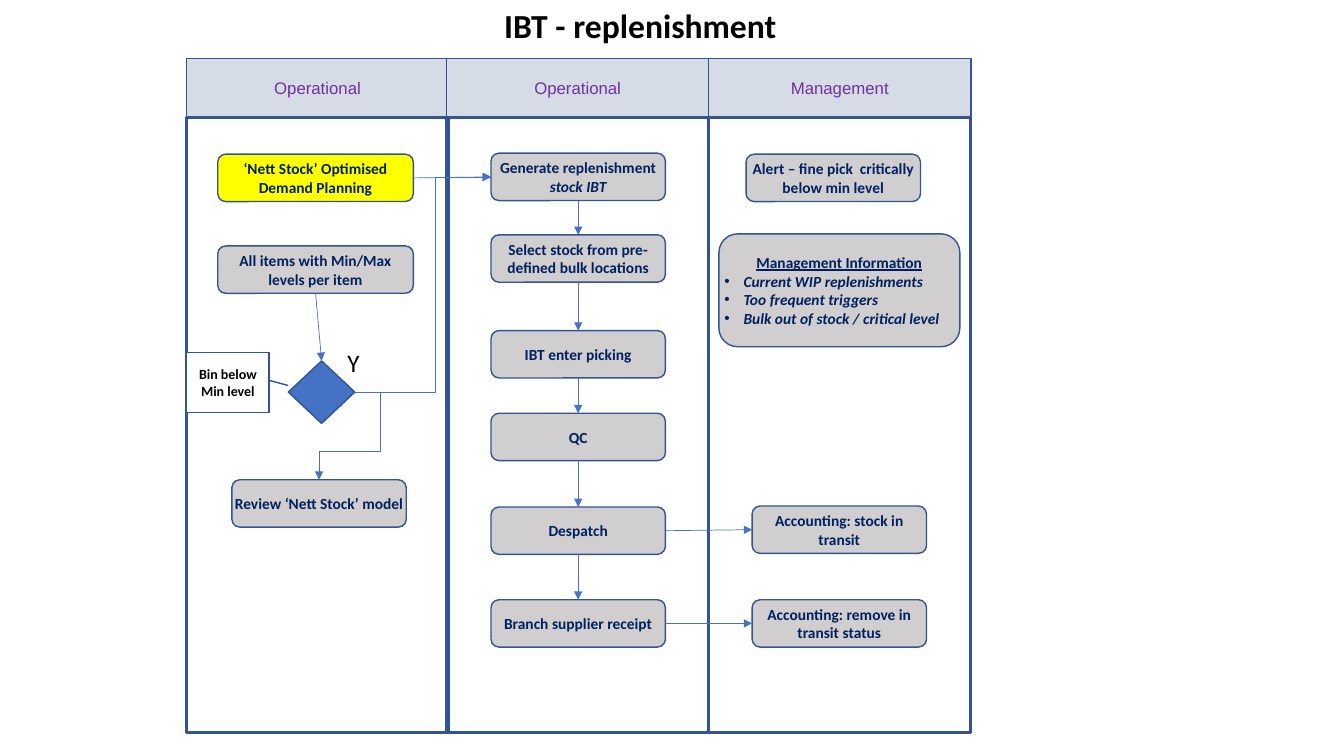
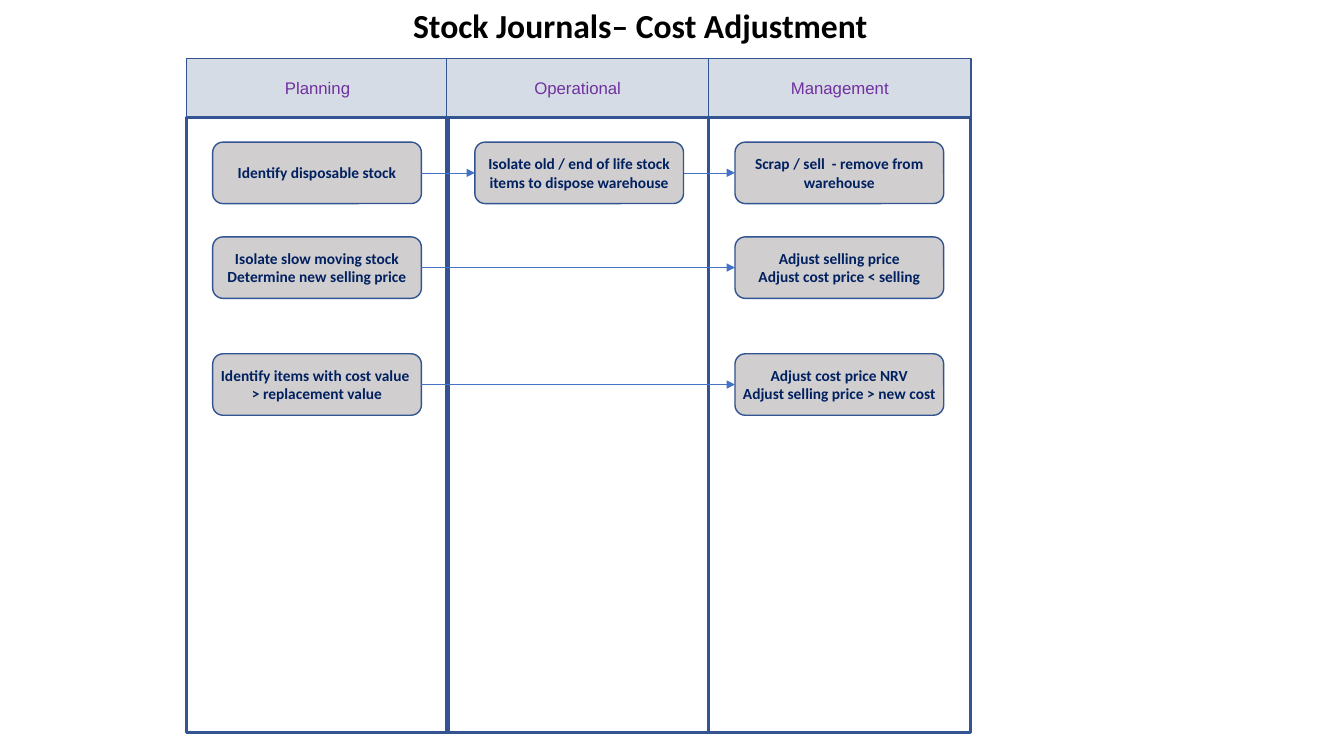
from lxml import etree
from pptx import Presentation
from pptx.dml.color import RGBColor
from pptx.enum.shapes import MSO_CONNECTOR as Connector, MSO_SHAPE as Shape
from pptx.enum.text import MSO_ANCHOR as Anchor, MSO_AUTO_SIZE as AutoSize, PP_ALIGN as Align
from pptx.oxml.ns import qn
from pptx.util import Inches, Pt

COLOURS = {
    "outline": "325491", "arrow": "4472C4", "header": "D6DCE5", "header text": "7030A0",
    "step": "D0CECE", "step text": "002060", "highlight": "FFFF00",
    "white": "FFFFFF", "black": "000000",
}

# Text styles: font attributes and a colour name
TITLE = ({"name": "Calibri", "size": Pt(24), "bold": True}, "black")
HEADER = ({"name": "Arial", "size": Pt(12), "bold": False}, "header text")
STEP = ({"name": "Calibri", "size": Pt(11), "bold": True}, "step text")
CALLOUT = ({"name": "Calibri", "size": Pt(10), "bold": True}, "black")
BRANCH = ({"name": "Calibri", "size": Pt(18), "bold": False}, "black")

STEP_INSETS = {"margin_left": 0, "margin_right": 0,
               "margin_top": Inches(0.05), "margin_bottom": Inches(0.05)}

# Swimlanes
LANE_LEFTS = (1.85, 4.43, 7.03)
LANE_WIDTH, LANE_HEIGHT = 2.6, 6.1
HEADER_TOP, HEADER_HEIGHT = 0.58, 0.59

TOP, LEFT, BOTTOM, RIGHT = range(4)


def colour(name):
    return RGBColor.from_string(COLOURS[name])


def set_values(target, values):
    for name, value in values.items():
        setattr(target, name, value)


def write(frame, paragraphs, style, anchor=Anchor.MIDDLE):
    """Each paragraph is a string or a list of (text, extra font values)."""
    values, colour_name = style
    set_values(frame, {"word_wrap": True, "vertical_anchor": anchor})
    for index, content in enumerate(paragraphs):
        paragraph = frame.add_paragraph() if index else frame.paragraphs[0]
        paragraph.alignment = Align.CENTER
        runs = [(content, {})] if isinstance(content, str) else content
        for text, extra in runs:
            run = paragraph.add_run()
            run.text = text
            set_values(run.font, values | extra)
            run.font.color.rgb = colour(colour_name)


def add_bullet(paragraph, indent=0.19):
    paragraph.alignment = Align.LEFT
    properties = paragraph._p.get_or_add_pPr()
    properties.set("marL", str(Inches(indent)))
    properties.set("indent", str(-Inches(indent)))
    font = etree.SubElement(properties, qn("a:buFont"))
    font.set("typeface", "Arial")
    etree.SubElement(properties, qn("a:buChar")).set("char", "•")


def add_box(slide, kind, at, fill=None, line_width=1):
    shape = slide.shapes.add_shape(kind, *map(Inches, at))
    shape.shadow.inherit = False
    if fill:
        shape.fill.solid()
        shape.fill.fore_color.rgb = colour(fill)
    else:
        shape.fill.background()
    shape.line.color.rgb = colour("outline")
    shape.line.width = Pt(line_width)
    return shape


def add_step(slide, at, *paragraphs, fill="step"):
    shape = add_box(slide, Shape.ROUNDED_RECTANGLE, at, fill)
    set_values(shape.text_frame, STEP_INSETS)
    write(shape.text_frame, paragraphs, STEP)
    return shape


def add_arrow(slide, start, start_side, end, end_side, preset=None, bends=()):
    """Join two shapes; a preset and its bend positions make an elbow arrow."""
    kind = Connector.ELBOW if preset else Connector.STRAIGHT
    connector = slide.shapes.add_connector(kind, 0, 0, 0, 0)
    connector.begin_connect(start, start_side)
    connector.end_connect(end, end_side)
    connector.line.color.rgb = colour("arrow")
    connector.line.width = Pt(0.5)
    properties = connector._element.spPr
    etree.SubElement(connector.line._get_or_add_ln(), qn("a:tailEnd")).set("type", "triangle")
    etree.SubElement(properties, qn("a:effectLst"))
    if preset:
        geometry = properties.find(qn("a:prstGeom"))
        geometry.set("prst", preset)
        guides = geometry.find(qn("a:avLst"))
        if guides is None:
            guides = etree.SubElement(geometry, qn("a:avLst"))
        for number, bend in enumerate(bends, 1):
            guide = etree.SubElement(guides, qn("a:gd"))
            guide.set("name", f"adj{number}")
            guide.set("fmla", f"val {round(bend * 100000)}")


def add_lane_slide(presentation, title, headers):
    slide = presentation.slides.add_slide(presentation.slide_layouts[5])
    # Title
    placeholder = slide.shapes.title
    set_values(placeholder, {"left": Inches(0.08), "top": 0,
                             "width": Inches(12.54), "height": Inches(0.5)})
    write(placeholder.text_frame, [title], TITLE, Anchor.TOP)
    placeholder.text_frame.auto_size = AutoSize.SHAPE_TO_FIT_TEXT
    # Lanes
    for left, header in zip(LANE_LEFTS, headers):
        head = add_box(slide, Shape.FLOWCHART_PROCESS,
                       (left, HEADER_TOP, LANE_WIDTH, HEADER_HEIGHT), "header")
        write(head.text_frame, [header], HEADER)
        add_box(slide, Shape.RECTANGLE,
                (left, HEADER_TOP + HEADER_HEIGHT, LANE_WIDTH, LANE_HEIGHT), line_width=2)
    return slide


def build_replenishment(presentation):
    slide = add_lane_slide(presentation, "IBT - replenishment",
                           ("Operational", "Operational", "Management"))
    width, wide, height = 1.73, 1.94, 0.47

    # Stock planning
    planning = add_step(slide, (2.16, 1.53, wide, height),
                        "‘Nett Stock’ Optimised Demand Planning", fill="highlight")
    items = add_step(slide, (2.16, 2.44, wide, height), "All items with Min/Max levels per item")
    review = add_step(slide, (2.3, 4.76, width, height), "Review ‘Nett Stock’ model")

    # Picking flow
    flow_texts = (
        (1.52, [("Generate replenishment ", {}), ("stock IBT", {"italic": True})]),
        (2.33, "Select stock from pre-defined bulk locations"),
        (3.28, "IBT enter picking"),
        (4.1, "QC"),
        (5.03, "Despatch"),
        (5.95, "Branch supplier receipt"),
    )
    flow = [add_step(slide, (4.87, top, width, height), text) for top, text in flow_texts]
    for upper, lower in zip(flow, flow[1:]):
        add_arrow(slide, upper, BOTTOM, lower, TOP)

    # Management
    add_step(slide, (7.4, 1.53, width, height), "Alert – fine pick  critically below min level")
    topics = ("Current WIP replenishments", "Too frequent triggers",
              "Bulk out of stock / critical level")
    information = add_step(slide, (7.13, 2.32, 2.39, 1.12),
                           [("Management Information", {"underline": True})],
                           *([(topic, {"italic": True})] for topic in topics))
    for paragraph in information.text_frame.paragraphs[1:]:
        add_bullet(paragraph)
    transit = add_step(slide, (7.46, 5.02, width, height), "Accounting: stock in transit")
    removal = add_step(slide, (7.46, 5.95, width, height), "Accounting: remove in transit status")

    # Minimum level decision
    decision = add_box(slide, Shape.FLOWCHART_DECISION, (2.86, 3.58, 0.66, 0.62), "arrow")
    callout = add_box(slide, Shape.LINE_CALLOUT_1_BORDER_AND_ACCENT_BAR,
                      (1.85, 3.5, 0.82, 0.59), "white")
    for index, value in enumerate((0.46, 0.99, 0.55, 1.23)):
        callout.adjustments[index] = value
    write(callout.text_frame, ["Bin below Min level"], CALLOUT)
    label = slide.shapes.add_textbox(*map(Inches, (3.31, 3.45, 0.39, 0.29)))
    write(label.text_frame, ["Y"], BRANCH)

    # Arrows between the parts
    add_arrow(slide, planning, RIGHT, flow[0], LEFT)
    add_arrow(slide, items, BOTTOM, decision, TOP)
    add_arrow(slide, decision, RIGHT, flow[0], LEFT, "bentConnector3", (0.59,))
    add_arrow(slide, decision, RIGHT, review, TOP, "bentConnector4", (-0.7, 0.68))
    add_arrow(slide, flow[4], RIGHT, transit, LEFT)
    add_arrow(slide, flow[5], RIGHT, removal, LEFT)


def build_cost_adjustment(presentation):
    slide = add_lane_slide(presentation, "Stock Journals– Cost Adjustment",
                           ("Planning", "Operational", "Management"))
    lefts = (2.11, 4.71, 7.29)
    # Each row: top, then the paragraphs for each lane
    rows = (
        (1.41, (["Identify disposable stock"],
                ["Isolate old / end of life stock items to dispose warehouse"],
                ["Scrap / sell  - remove from warehouse"])),
        (2.35, (["Isolate slow moving stock", "Determine new selling price"], None,
                ["Adjust selling price", "Adjust cost price < selling"])),
        (3.51, (["Identify items with cost value  > replacement value"], None,
                ["Adjust cost price NRV", "Adjust selling price > new cost"])),
    )
    for top, texts in rows:
        steps = [add_step(slide, (left, top, 2.07, 0.61), *paragraphs)
                 for left, paragraphs in zip(lefts, texts) if paragraphs]
        for start, end in zip(steps, steps[1:]):
            add_arrow(slide, start, RIGHT, end, LEFT)


def main():
    presentation = Presentation()
    set_values(presentation, {"slide_width": Inches(13.33), "slide_height": Inches(7.5)})
    build_replenishment(presentation)
    build_cost_adjustment(presentation)
    presentation.save("out.pptx")


if __name__ == "__main__":
    main()
